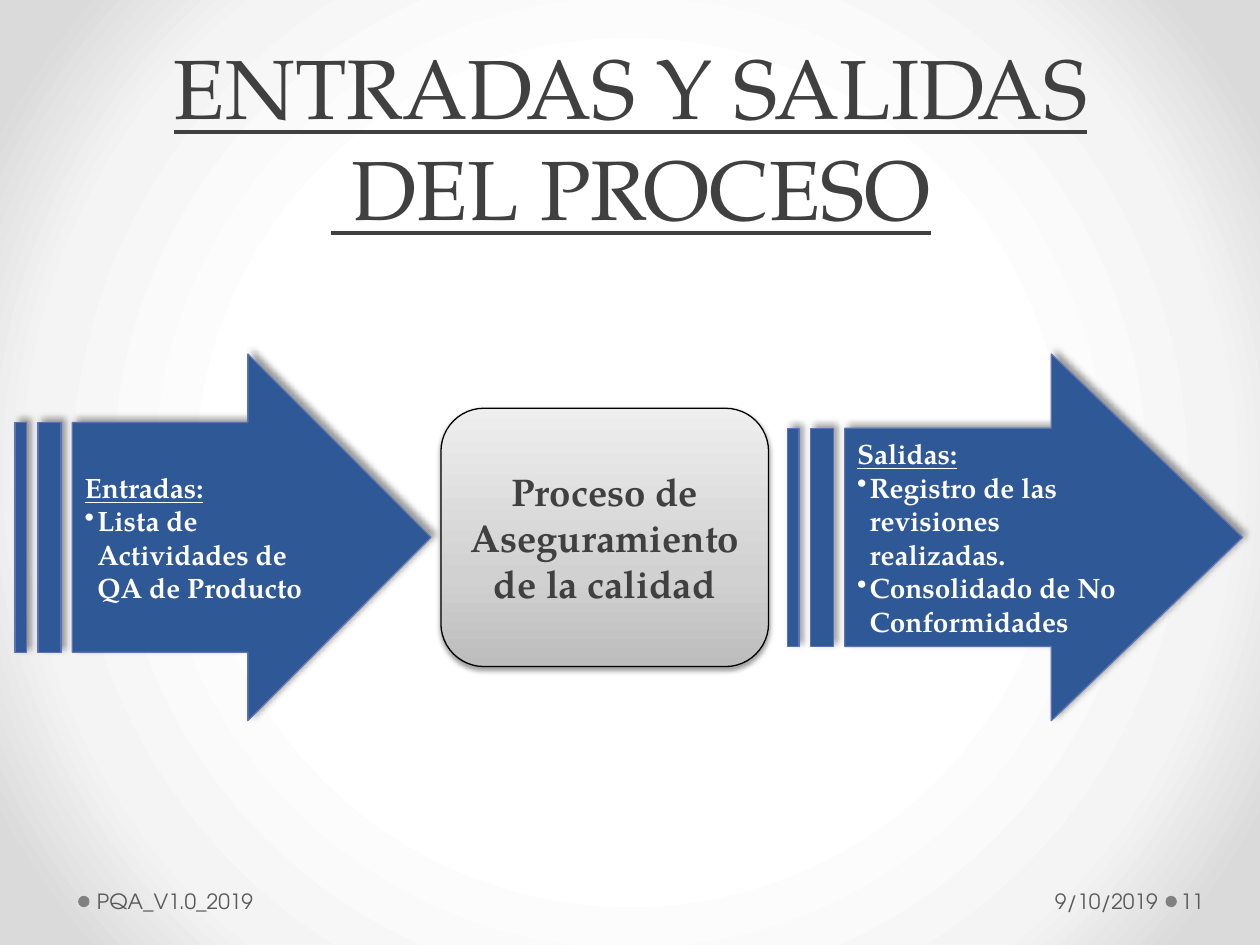
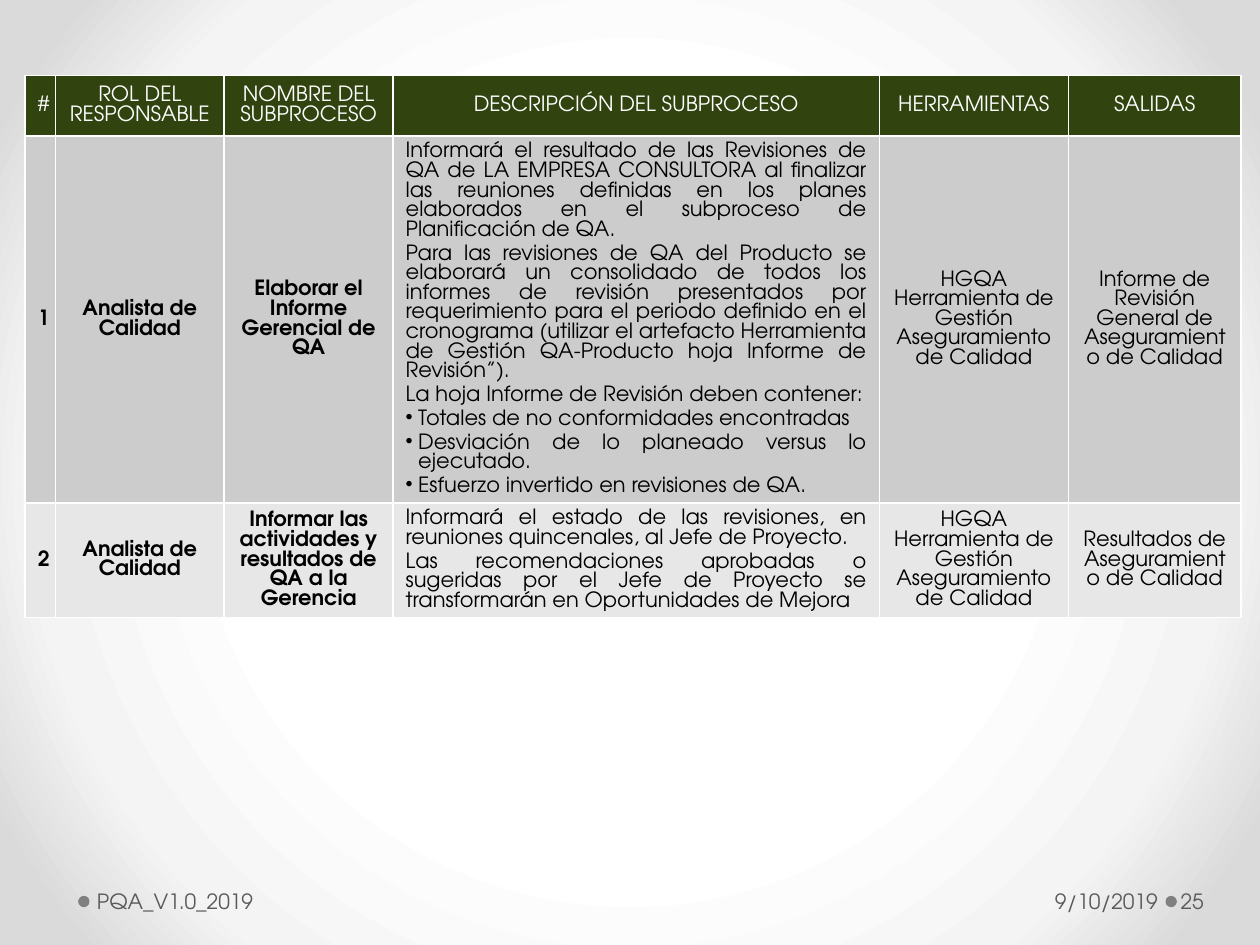
from lxml.etree import SubElement as Sub
from pptx import Presentation
from pptx.dml.color import RGBColor
from pptx.enum.shapes import MSO_SHAPE as Kind
from pptx.enum.text import MSO_ANCHOR as Anchor, PP_ALIGN as Align
from pptx.oxml.ns import qn
from pptx.util import Inches, Pt

SERIF, SANS = "TeX Gyre Pagella", "TeX Gyre Adventor"
WHITE, BLACK, DARK, GRAY, DOT = "FFFFFF", "000000", "404040", "595959", "808080"
BLUE, EDGE, GREEN = "2F5897", "5C72B2", "314410"
BANDS = ["CCCCCC", "E7E7E7"]
BACK = [(50, "FFFFFF"), (76, "F4F4F4"), (92, "DADADA")]
STEEL = [(0, "BDBDBD"), (35, "D1D1D1"), (100, "EEEEEE")]
BULLET = "• "

# Text styles
TITLE = dict(name=SERIF, size=Pt(48), underline=True, color=DARK)
ARROW = dict(name=SERIF, size=Pt(16), bold=True, underline=True, color=WHITE)
CORE = dict(name=SERIF, size=Pt(22), bold=True, color=DARK)
FOOT = dict(name=SANS, size=Pt(12), color=GRAY)
HEAD = dict(name=SANS, size=Pt(12), bold=False, color=WHITE)
BODY = dict(HEAD, color=BLACK)

INPUTS = ["Entradas:", "• Lista de Actividades de QA de Producto"]
OUTPUTS = ["Salidas:", "• Registro de las revisiones realizadas.",
           "• Consolidado de No Conformidades"]
TOOL = "HGQA Herramienta de Gestión Aseguramiento de Calidad"
COLS = [0.24, 1.34, 1.34, 3.86, 1.5, 1.37]
ROWS = [0.48, 2.9, 0.91]
DETAIL = 3  # column of the long descriptions
TABLE = [
    ["#", "ROL DEL RESPONSABLE", "NOMBRE DEL SUBPROCESO",
     "DESCRIPCIÓN DEL SUBPROCESO", "HERRAMIENTAS", "SALIDAS"],
    ["1", "Analista de Calidad", "Elaborar el Informe Gerencial de QA", [
        "Informará el resultado de las Revisiones de QA de LA EMPRESA "
        "CONSULTORA al finalizar las reuniones definidas en los planes "
        "elaborados en el subproceso de Planificación de QA.",
        "Para las revisiones de QA del Producto se elaborará un consolidado de "
        "todos los informes de revisión presentados por requerimiento para el "
        "periodo definido en el cronograma (utilizar el artefacto Herramienta "
        "de Gestión QA-Producto hoja Informe de Revisión”).",
        "La hoja Informe de Revisión deben contener:",
        "• Totales de no conformidades encontradas",
        "• Desviación de lo planeado versus lo ejecutado.",
        "• Esfuerzo invertido en revisiones de QA."],
     TOOL, "Informe de Revisión General de Aseguramiento de Calidad"],
    ["2", "Analista de Calidad",
     "Informar las actividades y resultados de QA a la Gerencia", [
         "Informará el estado de las revisiones, en reuniones quincenales, al "
         "Jefe de Proyecto.",
         "Las recomendaciones aprobadas o sugeridas por el Jefe de Proyecto se "
         "transformarán en Oportunidades de Mejora"],
     TOOL, "Resultados de Aseguramiento de Calidad"],
]


def rgb(code):
    return RGBColor.from_string(code)


def tint(node, code, alpha=100):
    """Add a colour to an XML node."""
    clr = Sub(node, qn("a:srgbClr"), val=code)
    if alpha < 100:
        Sub(clr, qn("a:alpha"), val=str(alpha * 1000))


def blend(owner, fill, stops, angle=None):
    """Gradient fill: linear with an angle, else circular."""
    fill.gradient()
    node = owner.element.find(".//" + qn("a:gradFill"))
    for child in list(node):
        node.remove(child)
    group = Sub(node, qn("a:gsLst"))
    for pos, code in stops:
        tint(Sub(group, qn("a:gs"), pos=str(pos * 1000)), code)
    if angle is None:
        ring = Sub(node, qn("a:path"), {"path": "circle"})
        Sub(ring, qn("a:fillToRect"), {side: "50000" for side in "ltrb"})
    else:
        Sub(node, qn("a:lin"), ang=str(angle * 60000), scaled="0")


def shade(shape, alpha, blur, dist, angle):
    node = shape.element.spPr.find(qn("a:effectLst"))
    drop = Sub(node, qn("a:outerShdw"), blurRad=str(Pt(blur)), dist=str(Pt(dist)),
               dir=str(angle * 60000), algn="ctr", rotWithShape="0")
    tint(drop, BLACK, alpha)


def write(frame, paras, style, align=Align.LEFT, gap=0, pitch=None):
    """Fill a text frame; items that start with a bullet are never underlined."""
    for i, text in enumerate(paras):
        para = frame.paragraphs[0] if i == 0 else frame.add_paragraph()
        listed = text.startswith(BULLET)
        para.text = text.removeprefix(BULLET)
        para.alignment = align
        para.space_before = Pt(gap if i else 0)
        if pitch:
            para.line_spacing = Pt(pitch)
        if listed:
            props = para._p.get_or_add_pPr()
            props.set("marL", str(Inches(0.1)))
            props.set("indent", str(-Inches(0.1)))
            Sub(props, qn("a:buChar"), char="•")
        for run in para.runs:
            for key, val in style.items():
                if key == "color":
                    run.font.color.rgb = rgb(val)
                else:
                    setattr(run.font, key, val and not listed if key == "underline" else val)


def label(slide, box, paras, style, align=Align.LEFT, anchor=Anchor.MIDDLE,
          left=0.1, right=0.1):
    frame = slide.shapes.add_textbox(*map(Inches, box)).text_frame
    frame.word_wrap = True
    frame.vertical_anchor = anchor
    frame.margin_left, frame.margin_right = Inches(left), Inches(right)
    write(frame, paras, style, align)


def block(slide, kind, box, fill, line=None, adj=()):
    """Preset shape; fill is a colour or a list of gradient stops."""
    shape = slide.shapes.add_shape(kind, *map(Inches, box))
    shape.shadow.inherit = False
    if isinstance(fill, str):
        shape.fill.solid()
        shape.fill.fore_color.rgb = rgb(fill)
    else:
        blend(shape, shape.fill, fill, 270)
    if line:
        shape.line.color.rgb = rgb(line)
        shape.line.width = Pt(0.75)
    else:
        shape.line.fill.background()
    for i, val in enumerate(adj):
        shape.adjustments[i] = val
    shape.text_frame.word_wrap = True
    shape.text_frame.vertical_anchor = Anchor.MIDDLE
    return shape


def footer(slide, number, top=6.95):
    for x in (9.25, 0.62):
        block(slide, Kind.OVAL, (x, top + 0.16, 0.09, 0.09), DOT)
    label(slide, (9.34, top, 0.61, 0.4), [number], FOOT, left=0.03, right=0.05)
    label(slide, (0.72, top, 3.96, 0.4), ["PQA_V1.0_2019"], FOOT, left=0.05)
    label(slide, (6.96, top, 2.28, 0.4), ["9/10/2019"], FOOT, Align.RIGHT, right=0.05)


def arrow(slide, box, adj, paras):
    shape = block(slide, Kind.STRIPED_RIGHT_ARROW, box, BLUE, EDGE, adj)
    shade(shape, 40, 4, 3, 315)
    write(shape.text_frame, paras, ARROW)


def flow(slide, box):
    """Inputs, process and outputs from left to right."""
    x, y, w, h = box
    arrow(slide, (x, y, 3.3, h), (0.627, 0.499), INPUTS)
    arrow(slide, (x + w - 3.61, y, 3.61, h), (0.595, 0.521), OUTPUTS)
    core = block(slide, Kind.ROUNDED_RECTANGLE, (x + 3.38, y + 0.43, 2.6, 2.05),
                 STEEL, BLACK)
    shade(core, 38, 3.1, 1.6, 90)
    write(core.text_frame, ["Proceso de Aseguramiento de la calidad"], CORE, Align.CENTER)


def border(cell):
    props = cell._tc.get_or_add_tcPr()
    for side in "LRTB":
        line = Sub(props, qn("a:ln" + side), w=str(Pt(1)))
        tint(Sub(line, qn("a:solidFill")), WHITE)


def grid(slide, x, y):
    """Table of subprocesses."""
    size = map(Inches, (x, y, sum(COLS), sum(ROWS)))
    table = slide.shapes.add_table(len(ROWS), len(COLS), *size).table
    for col, width in zip(table.columns, COLS):
        col.width = Inches(width)
    for r, (height, texts) in enumerate(zip(ROWS, TABLE)):
        table.rows[r].height = Inches(height)
        for c, text in enumerate(texts):
            cell = table.cell(r, c)
            border(cell)
            cell.fill.solid()
            cell.fill.fore_color.rgb = rgb(BANDS[r - 1] if r else GREEN)
            long = r > 0 and c == DETAIL
            cell.vertical_anchor = Anchor.TOP if long else Anchor.MIDDLE
            style = dict(BODY, bold=c < DETAIL) if r else HEAD
            write(cell.text_frame, text if long else [text], style,
                  Align.JUSTIFY if long else Align.CENTER, gap=2.4, pitch=11.2)


def main():
    prs = Presentation()
    prs.slide_width, prs.slide_height = Inches(10), Inches(7.5)
    master = prs.slide_master
    blend(master, master.background.fill, BACK)
    blank = prs.slide_layouts[6]

    # Inputs and outputs
    slide = prs.slides.add_slide(blank)
    flow(slide, (0.12, 2.81, 9.74, 2.91))
    label(slide, (0.28, 0.19, 9.45, 1.74), ["ENTRADAS Y SALIDAS\v DEL PROCESO"],
          TITLE, Align.CENTER, Anchor.BOTTOM)
    footer(slide, "11")

    # Subprocesses
    slide = prs.slides.add_slide(blank)
    grid(slide, 0.2, 0.6)
    footer(slide, "25")
    prs.save("out.pptx")


if __name__ == "__main__":
    main()
